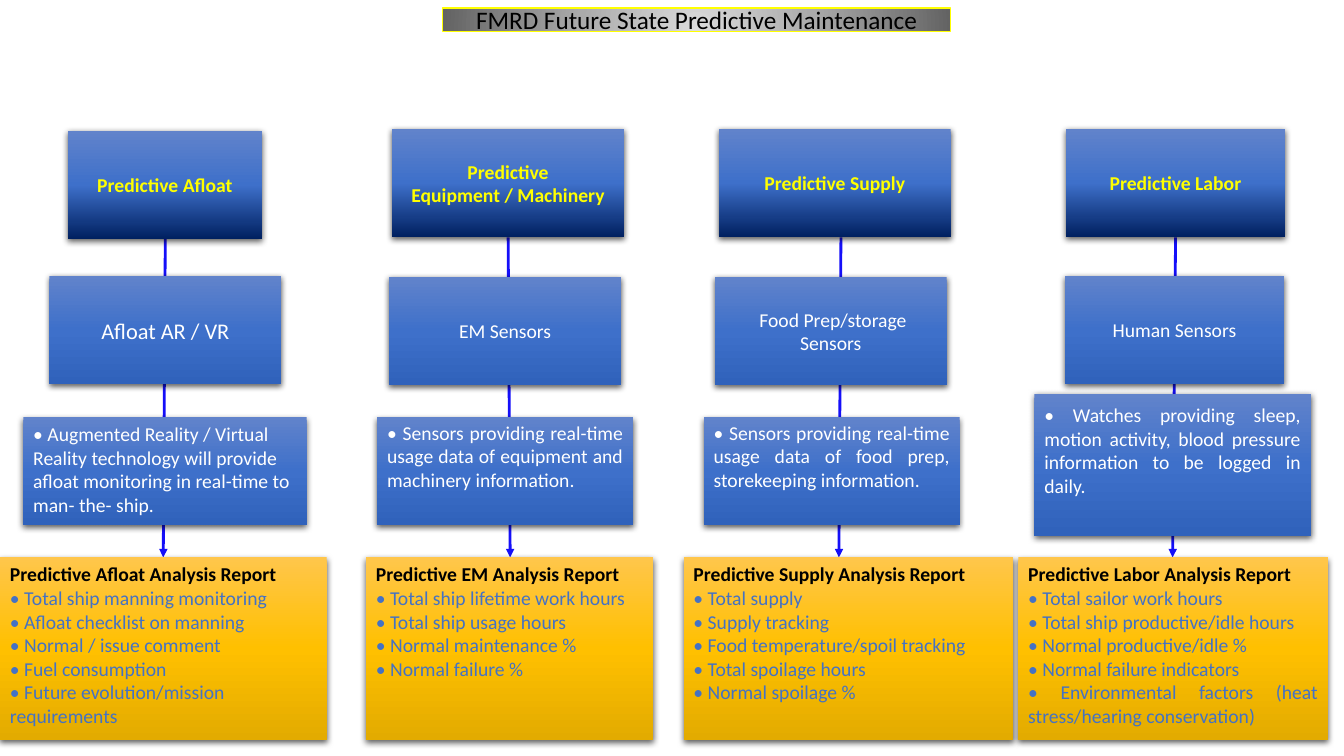
"""Build the predictive maintenance slide: four columns of linked boxes."""
from dataclasses import dataclass

from pptx import Presentation
from pptx.dml.color import RGBColor
from pptx.enum.shapes import MSO_CONNECTOR, MSO_SHAPE
from pptx.enum.text import MSO_ANCHOR, MSO_AUTO_SIZE, PP_ALIGN
from pptx.oxml import parse_xml
from pptx.oxml.ns import nsdecls, qn
from pptx.util import Inches, Pt

LEFT, CENTER, JUSTIFY = PP_ALIGN.LEFT, PP_ALIGN.CENTER, PP_ALIGN.JUSTIFY
TOP, MIDDLE = MSO_ANCHOR.TOP, MSO_ANCHOR.MIDDLE
NO_FIT = MSO_AUTO_SIZE.NONE
RECTANGLE, STRAIGHT = MSO_SHAPE.RECTANGLE, MSO_CONNECTOR.STRAIGHT

WIDTH, HEIGHT = Inches(13.33), Inches(7.5)
FONT = "Calibri"
DOWNWARD = '<a:lin ang="5400000" scaled="0"/>'
RADIAL = '<a:path path="circle"><a:fillToRect l="50000" t="130000" r="50000" b="-30000"/></a:path>'
HEADER_FILL = [(0, "6183CB"), (50, "3E70CA"), (100, "002060")]
STEP_FILL = [(0, "6183CB"), (50, "3E70CA"), (100, "3062BB")]
REPORT_FILL = [(0, "FFC64B"), (50, "FFC000"), (100, "E3AB00")]
TITLE_FILL = [(0, "DBDBDB"), (46, "AAAAAA"), (100, "636363")]
BOX_ROWS, REPORT_TOP, REPORT_ROWS = 14.27, 73.73, 24.13
LINK_TOP = 31.4


@dataclass(frozen=True)
class Area:
    """A rectangle in hundredths of the slide's width and height."""
    left: float
    top: float
    width: float
    height: float = BOX_ROWS


@dataclass(frozen=True)
class Column:
    """One stream of boxes from header to report."""
    header: str
    header_area: Area
    sensor: str
    sensor_area: Area
    detail: str
    detail_area: Area
    report: list[str]
    report_area: Area
    link: tuple[float, float]
    sensor_size: int = 14
    align: PP_ALIGN = JUSTIFY
    detail_anchor: MSO_ANCHOR = MIDDLE
    detail_bottom: float = 0.35


COLUMNS = [
    Column(
        "Predictive Afloat", Area(5.03, 17.33, 14.48),
        "Afloat AR / VR", Area(3.68, 36.53, 17.25),
        "• Augmented Reality / Virtual Reality technology will provide afloat "
        "monitoring in real-time to man- the- ship.", Area(1.73, 55.2, 21.08),
        ["Predictive Afloat Analysis Report", "• Total ship manning monitoring",
         "• Afloat checklist on manning", "• Normal / issue comment",
         "• Fuel consumption", "• Future evolution/mission requirements"],
        Area(0, REPORT_TOP, 24.31, REPORT_ROWS), (12.3, 12.15),
        sensor_size=16, align=LEFT, detail_anchor=TOP, detail_bottom=0.05),
    Column(
        "Predictive\vEquipment / Machinery", Area(29.18, 17.07, 17.25),
        "EM Sensors", Area(28.96, 36.67, 17.25),
        "• Sensors providing real-time usage data of equipment and machinery "
        "information.", Area(28.06, 55.2, 19.05),
        ["Predictive EM Analysis Report", "• Total ship lifetime work hours",
         "• Total ship usage hours", "• Normal maintenance %", "• Normal failure %"],
        Area(27.23, REPORT_TOP, 21.38, REPORT_ROWS), (37.81, 37.96)),
    Column(
        "Predictive Supply", Area(53.49, 17.07, 17.25),
        " Food Prep/storage Sensors", Area(53.19, 36.67, 17.25),
        "• Sensors providing real-time usage data of food prep, storekeeping "
        "information.", Area(52.36, 55.2, 19.05),
        ["Predictive Supply Analysis Report", "• Total supply", "• Supply tracking",
         "• Food temperature/spoil tracking", "• Total spoilage hours",
         "• Normal spoilage %"],
        Area(50.86, REPORT_TOP, 24.53, REPORT_ROWS), (62.57, 62.42)),
    Column(
        "Predictive Labor", Area(79.29, 17.07, 16.35),
        "Human Sensors", Area(79.22, 36.53, 16.35),
        "• Watches providing sleep, motion activity, blood pressure information "
        "to be logged in daily.", Area(76.97, 52.13, 20.56, 18.8),
        ["Predictive Labor Analysis Report", "• Total sailor work hours",
         "• Total ship productive/idle hours", "• Normal productive/idle %",
         "• Normal failure indicators",
         "• Environmental factors (heat stress/hearing conservation)"],
        Area(75.77, REPORT_TOP, 23.03, REPORT_ROWS), (87.47, 87.25)),
]


def across(share: float) -> int:
    """Turn hundredths of the slide's width into a length."""
    return round(WIDTH * share / 100)


def down(share: float) -> int:
    """Turn hundredths of the slide's height into a length."""
    return round(HEIGHT * share / 100)


def color(code: str) -> RGBColor:
    """Turn a hex string into a colour."""
    return RGBColor.from_string(code)


def place(area: Area) -> tuple[int, int, int, int]:
    """Give the left, top, width and height of an area."""
    return across(area.left), down(area.top), across(area.width), down(area.height)


def fill_gradient(shape, stops: list[tuple[int, str]], direction: str) -> None:
    """Fill a shape with colour stops along a direction."""
    shape.fill.gradient()
    properties = shape.element.spPr
    marks = "".join(f'<a:gs pos="{share * 1000}"><a:srgbClr val="{code}"/></a:gs>'
                    for share, code in stops)
    gradient = parse_xml(f'<a:gradFill {nsdecls("a")} rotWithShape="1">'
                         f'<a:gsLst>{marks}</a:gsLst>{direction}</a:gradFill>')
    properties.replace(properties.find(qn("a:gradFill")), gradient)


def add_shadow(shape) -> None:
    """Give a shape a soft shadow below it."""
    shape.shadow.inherit = False
    shape.element.spPr.find(qn("a:effectLst")).append(parse_xml(
        f'<a:outerShdw {nsdecls("a")} blurRad="57150" dist="19050" dir="5400000" '
        'algn="ctr" rotWithShape="0"><a:srgbClr val="000000">'
        '<a:alpha val="63000"/></a:srgbClr></a:outerShdw>'))


def write(para, text: str, *, code: str, size: int = 14, bold: bool = False,
          align: PP_ALIGN = CENTER) -> None:
    """Write text into a paragraph with its format."""
    para.text = text
    para.alignment = align
    for span in para.runs:
        span.font.name, span.font.size, span.font.bold = FONT, Pt(size), bold
        span.font.color.rgb = color(code)


def add_box(page, area: Area, stops: list[tuple[int, str]], anchor: MSO_ANCHOR = MIDDLE,
            bottom: float = 0.05):
    """Add a shaded box and return its text frame."""
    box = page.shapes.add_shape(RECTANGLE, *place(area))
    fill_gradient(box, stops, DOWNWARD)
    box.line.fill.background()
    add_shadow(box)
    frame = box.text_frame
    frame.word_wrap, frame.vertical_anchor = True, anchor
    frame.margin_bottom = Inches(bottom)
    return frame


def add_link(page, column: Column) -> None:
    """Draw the arrow from a column's header to its report."""
    start, end = column.link
    link = page.shapes.add_connector(STRAIGHT, across(start), down(LINK_TOP),
                                     across(end), down(REPORT_TOP))
    link.line.color.rgb, link.line.width = color("150FF9"), Pt(2)
    properties = link.element.spPr
    properties.find(qn("a:ln")).append(
        parse_xml(f'<a:tailEnd {nsdecls("a")} type="triangle"/>'))
    properties.append(parse_xml(f'<a:effectLst {nsdecls("a")}/>'))


def add_column(page, column: Column) -> None:
    """Add the four boxes of a column."""
    header = add_box(page, column.header_area, HEADER_FILL)
    write(header.paragraphs[0], column.header, code="FFFF00", bold=True)
    sensor = add_box(page, column.sensor_area, STEP_FILL)
    write(sensor.paragraphs[0], column.sensor, code="FFFFFF", size=column.sensor_size)
    detail = add_box(page, column.detail_area, STEP_FILL, column.detail_anchor,
                     column.detail_bottom)
    write(detail.paragraphs[0], column.detail, code="FFFFFF", align=column.align)
    report = add_box(page, column.report_area, REPORT_FILL, TOP)
    heading, *items = column.report
    write(report.paragraphs[0], heading, code="000000", bold=True, align=column.align)
    for item in items:
        write(report.add_paragraph(), item, code="4472C4", align=column.align)


def add_title(page, text: str) -> None:
    """Move and format the title placeholder as a banner."""
    title = page.shapes.title
    title.left, title.top, title.width, title.height = place(Area(32.93, 1.07, 37.81, 3.07))
    fill_gradient(title, TITLE_FILL, RADIAL)
    title.line.color.rgb, title.line.width = color("FFFF00"), Pt(1)
    frame = title.text_frame
    frame.auto_size, frame.word_wrap, frame.vertical_anchor = NO_FIT, True, MIDDLE
    write(frame.paragraphs[0], text, code="000000", size=18)


deck = Presentation()
deck.slide_width, deck.slide_height = WIDTH, HEIGHT
page = deck.slides.add_slide(deck.slide_layouts[5])
add_title(page, "FMRD Future State Predictive Maintenance")
for column in COLUMNS:
    add_link(page, column)
    add_column(page, column)
deck.save("out.pptx")
